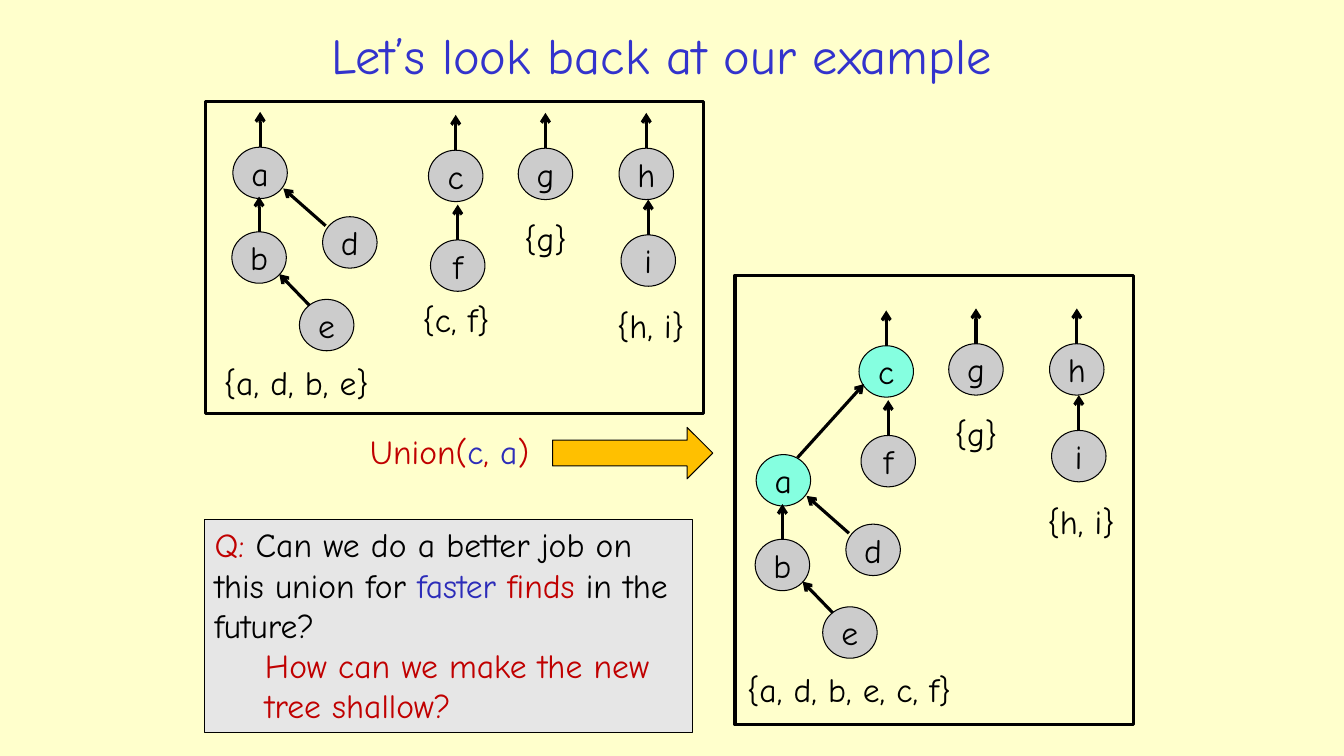
import pptx
import pptx.dml.color
import pptx.enum.shapes
import pptx.enum.text
import pptx.oxml
import pptx.oxml.ns
import pptx.util
import lxml.etree

EMU_PER_PX = 9144
BLACK, RED, BLUE = "000000", "C00000", "2D2DB9"
GRAY, AQUA = "CCCCCC", "85FFE0"
SHAPE = pptx.enum.shapes.MSO_SHAPE
ALIGN = pptx.enum.text.PP_ALIGN
ANCHOR = pptx.enum.text.MSO_ANCHOR
FIT = pptx.enum.text.MSO_AUTO_SIZE


def px(*lengths):
    return [pptx.util.Emu(n * EMU_PER_PX) for n in lengths]


def rgb(color):
    return pptx.dml.color.RGBColor.from_string(color)


def write(tf, text, color=BLACK, size=24, font="Comic Neue", align=ALIGN.LEFT,
          anchor=ANCHOR.TOP, wrap=False, indent=0, new=False):
    tf.word_wrap, tf.vertical_anchor = wrap, anchor
    p = tf.add_paragraph() if new else tf.paragraphs[0]
    p.alignment = align
    if indent:
        p.level = 1
        pPr = p._p.get_or_add_pPr()
        pPr.set("marL", str(px(indent)[0]))
        pPr.set("indent", "0")
    for part, part_color in [(text, color)] if isinstance(text, str) else text:
        r = p.add_run()
        r.text = part
        r.font.name, r.font.size = font, pptx.util.Pt(size)
        r.font.color.rgb = rgb(part_color)


class Deck:
    """Draws styled elements on the current slide."""

    def __init__(self, width, height, background):
        self.prs = pptx.Presentation()
        self.prs.slide_width, self.prs.slide_height = px(width, height)
        self.s = self.prs.slides.add_slide(self.prs.slide_layouts[5])
        self.s.background.fill.solid()
        self.s.background.fill.fore_color.rgb = rgb(background)

    def title(self, text, x, y, w, h):
        sp = self.s.shapes.title
        sp.left, sp.top, sp.width, sp.height = px(x, y, w, h)
        write(sp.text_frame, text, color="3333CC", size=36, wrap=True,
              align=ALIGN.CENTER, anchor=ANCHOR.MIDDLE)

    def shape(self, kind, x, y, w, h, fill=None, weight=0.75):
        sp = self.s.shapes.add_shape(kind, *px(x, y, w, h))
        sp.shadow.inherit = False
        if fill:
            sp.fill.solid()
            sp.fill.fore_color.rgb = rgb(fill)
        else:
            sp.fill.background()
        sp.line.color.rgb = rgb(BLACK)
        sp.line.width = pptx.util.Pt(weight)
        return sp

    def label(self, text, x, y, w, h=50):
        sp = self.s.shapes.add_textbox(*px(x, y, w, h))
        write(sp.text_frame, text)
        sp.text_frame.auto_size = FIT.SHAPE_TO_FIT_TEXT

    def arrow(self, x1, y1, x2, y2):
        cxn = self.s.shapes.add_connector(
            pptx.enum.shapes.MSO_CONNECTOR.STRAIGHT, *px(x1, y1, x2, y2))
        cxn.line.color.rgb = rgb(BLACK)
        cxn.line.width = pptx.util.Pt(2.25)
        qn = pptx.oxml.ns.qn
        ln = cxn.line._get_or_add_ln()
        lxml.etree.SubElement(ln, qn("a:tailEnd"), type="arrow")
        lxml.etree.SubElement(cxn._element.spPr, qn("a:effectLst"))
        return cxn

    def node(self, name, x, y, fill=GRAY, up_arrow=True):
        sp = self.shape(SHAPE.OVAL, x, y, 54, 51, fill)
        tf = sp.text_frame
        tf.margin_left = tf.margin_right = tf.margin_top = tf.margin_bottom = 0
        write(tf, name, align=ALIGN.CENTER, anchor=ANCHOR.MIDDLE)
        if up_arrow:
            self.arrow(x + 27, y, x + 27, y - 35).begin_connect(sp, 0)

    def tree_a(self, dx, dy, root_fill=GRAY, is_root=True):
        self.node("a", 231 + dx, 146 + dy, root_fill, is_root)
        self.node("b", 230 + dx, 230 + dy)
        self.node("d", 320 + dx, 215 + dy, up_arrow=False)
        self.node("e", 297 + dx, 297 + dy, up_arrow=False)
        self.arrow(323 + dx, 224 + dy, 281 + dx, 187 + dy)
        self.arrow(307 + dx, 303 + dy, 277 + dx, 272 + dy)

    def other_trees(self, dx, dy, c_fill=GRAY):
        self.node("c", 425 + dx, 149 + dy, c_fill)
        for name, x, y in [("f", 427, 238), ("g", 514, 147),
                           ("h", 614, 147), ("i", 616, 233)]:
            self.node(name, x + dx, y + dy)
        self.label("{g}", 510 + dx, 211 + dy, 63)
        self.label("{h, i}", 602 + dx, 298 + dy, 93)


def main():
    deck = Deck(1333, 750, "FFFFCC")
    deck.title("Let’s look back at our example", 208, 19, 896, 69)

    deck.shape(SHAPE.RECTANGLE, 204, 101, 494, 309, weight=2.25)
    deck.tree_a(0, 0)
    deck.other_trees(0, 0)
    deck.label("{a, d, b, e}", 212, 354, 178)
    deck.label("{c, f}", 409, 292, 99)

    deck.shape(SHAPE.RECTANGLE, 729, 273, 395, 446, weight=2.25)
    deck.tree_a(519, 305, AQUA, is_root=False)
    deck.other_trees(427, 194, AQUA)
    deck.arrow(791, 454, 857, 381)
    deck.label("{a, d, b, e, c, f}", 731, 659, 251)

    deck.label([("Union(", RED), ("c", BLUE), (", ", RED), ("a", BLUE),
                (")", RED)], 357, 423, 186)
    deck.shape(SHAPE.RIGHT_ARROW, 548, 424, 159, 51, "FFC000")

    question = deck.shape(SHAPE.RECTANGLE, 203, 515, 484, 212, "E6E6E6")
    tf = question.text_frame
    write(tf, [("Q: ", RED),
               ("Can we do a better job on this union for ", BLACK),
               ("faster ", BLUE), ("finds", RED), (" in the future?", BLACK)],
          wrap=True)
    write(tf, "How can we make the new tree shallow?", color=RED, wrap=True,
          indent=50, new=True)
    tf.auto_size = FIT.SHAPE_TO_FIT_TEXT

    deck.prs.save("out.pptx")


if __name__ == "__main__":
    main()
